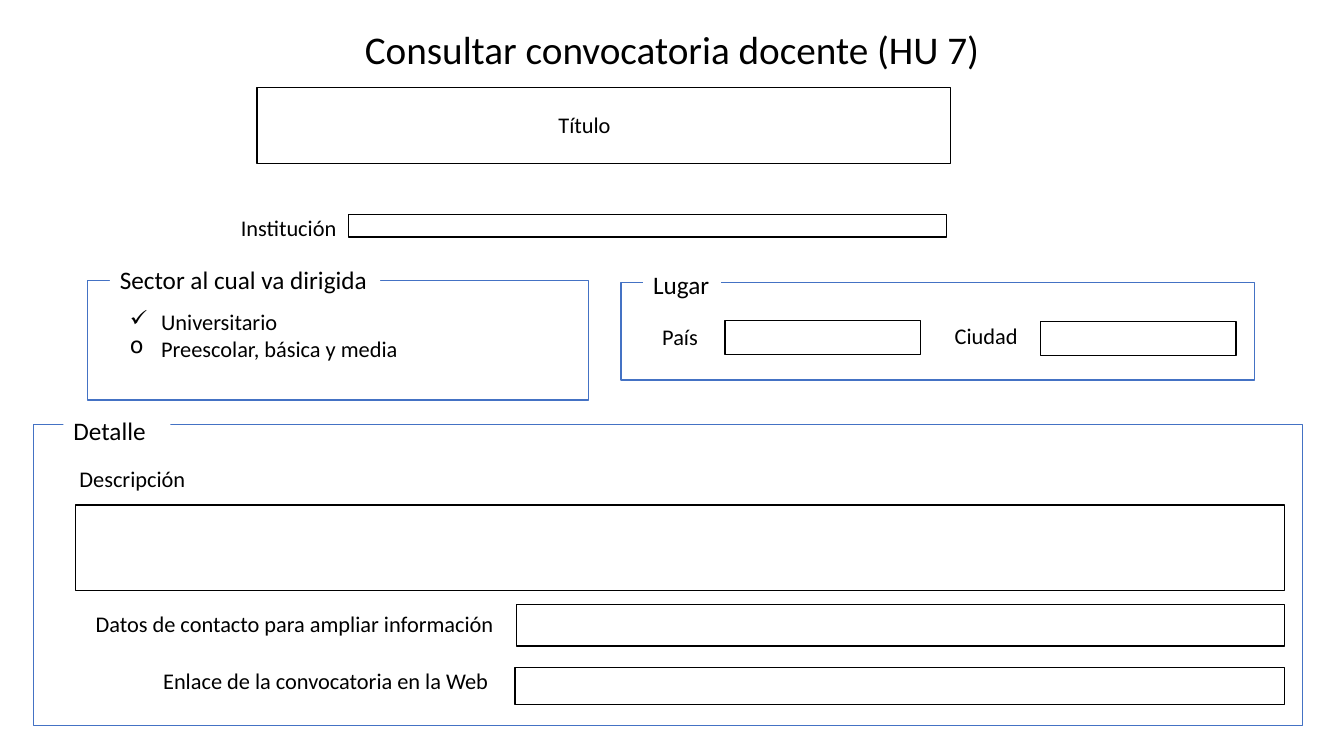
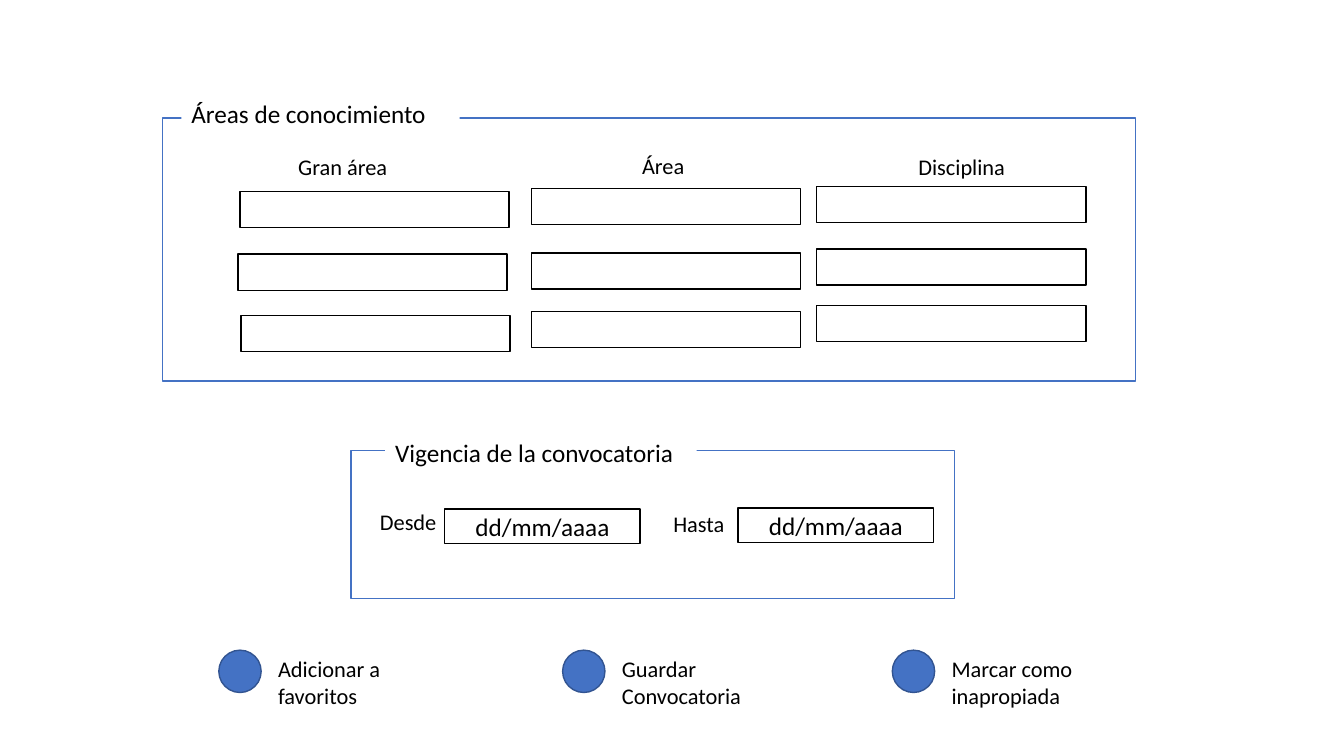
from dataclasses import dataclass

from lxml.etree import SubElement
from pptx import Presentation
from pptx.dml.color import RGBColor
from pptx.enum.shapes import MSO_SHAPE as Preset
from pptx.enum.text import MSO_ANCHOR as Anchor, MSO_AUTO_SIZE as AutoSize, PP_ALIGN as Align
from pptx.oxml.ns import qn
from pptx.util import Inches, Pt


@dataclass(frozen=True)
class Theme:
    font: str = "Calibri"
    text: RGBColor = RGBColor(0, 0, 0)
    paper: RGBColor = RGBColor(255, 255, 255)
    accent: RGBColor = RGBColor(0x44, 0x72, 0xC4)
    accent_dark: RGBColor = RGBColor(0x32, 0x54, 0x91)
    title_size: int = 28
    legend_size: int = 18
    label_size: int = 16
    line_width: int = 1


THEME = Theme()
TITLE_ONLY, BLANK = 5, 6


# Text
def write(box, text, size, align=Align.LEFT, anchor=Anchor.TOP, wrap=True):
    frame = box.text_frame
    frame.text = text
    frame.word_wrap = wrap
    frame.auto_size = AutoSize.NONE
    frame.vertical_anchor = anchor
    for para in frame.paragraphs:
        para.alignment = align
        for span in para.runs:
            span.font.name = THEME.font
            span.font.size = Pt(size)
            span.font.color.rgb = THEME.text


def add_title(page, text):
    title = page.shapes.title
    title.left, title.top = Inches(0), Inches(0.2)
    title.width, title.height = Inches(13.33), Inches(0.57)
    write(title, text, THEME.title_size, Align.CENTER)


def add_label(page, text, left, top, width, height=0.37, wrap=False):
    box = page.shapes.add_textbox(Inches(left), Inches(top), Inches(width), Inches(height))
    write(box, text, THEME.label_size, wrap=wrap)
    return box


def add_options(page, options, left, top, width, height):
    """Lists options given as (mark, text) pairs."""
    box = add_label(page, "\n".join(text for _, text in options), left, top, width, height)
    for para, (mark, _) in zip(box.text_frame.paragraphs, options):
        properties = para._p.get_or_add_pPr()
        properties.set("marL", str(Inches(0.31)))
        properties.set("indent", str(Inches(-0.31)))
        SubElement(properties, qn("a:buChar")).set("char", mark)


# Form parts
def add_outline(page, left, top, width, height, line=THEME.text, fill=THEME.paper,
                preset=Preset.RECTANGLE):
    shape = page.shapes.add_shape(
        preset, Inches(left), Inches(top), Inches(width), Inches(height))
    shape.shadow.inherit = False
    shape.fill.solid()
    shape.fill.fore_color.rgb = fill
    shape.line.color.rgb = line
    shape.line.width = Pt(THEME.line_width)
    return shape


def add_group(page, legend, frame, legend_at):
    """Draws a blue frame whose top edge is broken by its legend."""
    add_outline(page, *frame, line=THEME.accent)
    left, top, width = legend_at
    box = page.shapes.add_textbox(Inches(left), Inches(top), Inches(width), Inches(0.4))
    box.fill.solid()
    box.fill.fore_color.rgb = THEME.paper
    write(box, legend, THEME.legend_size, wrap=False)


def add_date(page, label, label_at, field_at):
    add_label(page, label, *label_at)
    field = add_outline(page, *field_at, 1.94, 0.34)
    write(field, "dd/mm/aaaa", THEME.legend_size, Align.CENTER, Anchor.MIDDLE)


def add_action(page, text, left):
    top, size = 6.45, 0.42
    add_outline(page, left, top, size, size, THEME.accent_dark, THEME.accent, Preset.OVAL)
    add_label(page, text, left + 0.49, top, 1.4, 0.64, wrap=True)


# Slides
def build_call(deck):
    page = deck.slides.add_slide(deck.slide_layouts[TITLE_ONLY])
    add_title(page, "Consultar convocatoria docente (HU 7)")

    add_group(page, "Sector al cual va dirigida", (0.87, 2.78, 4.97, 1.19), (1.09, 2.57, 2.68))
    add_options(page, [("✓", "Universitario"), ("o", "Preescolar, básica y media")],
                1.19, 3.01, 2.89, 0.64)
    add_group(page, "Lugar", (6.16, 2.8, 6.28, 0.97), (6.38, 2.62, 0.77))
    add_group(page, "Detalle", (0.33, 4.21, 12.59, 2.99), (0.63, 4.07, 1.06))

    # Each row: label, label position and width, field frame
    rows = [
        ("Título", (5.44, 1.05, 0.73), (2.55, 0.87, 6.88, 0.75)),
        ("Institución", (2.29, 2.08, 1.17), (3.46, 2.13, 5.93, 0.22)),
        ("País", (6.47, 3.16, 0.56), (7.19, 3.18, 1.94, 0.34)),
        ("Ciudad", (9.37, 3.15, 0.83), (10.32, 3.19, 1.94, 0.34)),
        ("Descripción", (0.69, 4.57, 1.26), (0.75, 5.01, 11.99, 0.85)),
        ("Datos de contacto para ampliar información", (0.85, 6, 4.2), (5.12, 6, 7.62, 0.41)),
        ("Enlace de la convocatoria en la Web", (1.52, 6.57, 3.47), (5.11, 6.62, 7.63, 0.37)),
    ]
    for label, label_at, field in rows:
        add_outline(page, *field)
        add_label(page, label, *label_at)


def build_areas(deck):
    page = deck.slides.add_slide(deck.slide_layouts[BLANK])

    # Knowledge areas: heading, its position and width, field corners
    add_group(page, "Áreas de conocimiento", (1.61, 1.17, 9.65, 2.61), (1.8, 0.93, 2.76))
    columns = [
        ("Gran área", (2.86, 1.47, 1.4), [(2.38, 1.9), (2.36, 2.52), (2.39, 3.13)]),
        ("Área", (6.27, 1.46, 0.76), [(5.27, 1.87), (5.27, 2.51), (5.27, 3.09)]),
        ("Disciplina", (9.01, 1.47, 1.28), [(8.1, 1.85), (8.1, 2.47), (8.1, 3.03)]),
    ]
    for heading, heading_at, corners in columns:
        add_label(page, heading, *heading_at, wrap=True)
        for left, top in corners:
            add_outline(page, left, top, 2.67, 0.36)

    # Validity dates
    add_group(page, "Vigencia de la convocatoria", (3.48, 4.47, 5.99, 1.47), (3.82, 4.29, 3.09))
    add_date(page, "Desde", (3.67, 4.99, 0.76), (4.41, 5.05))
    add_date(page, "Hasta", (6.58, 5.01, 0.71), (7.32, 5.04))

    # Actions
    for text, left in [("Adicionar a favoritos", 2.17), ("Guardar Convocatoria", 5.58),
                       ("Marcar como inapropiada", 8.85)]:
        add_action(page, text, left)


def main():
    deck = Presentation()
    deck.slide_width, deck.slide_height = Inches(13.33), Inches(7.5)
    build_call(deck)
    build_areas(deck)
    deck.save("out.pptx")


main()
